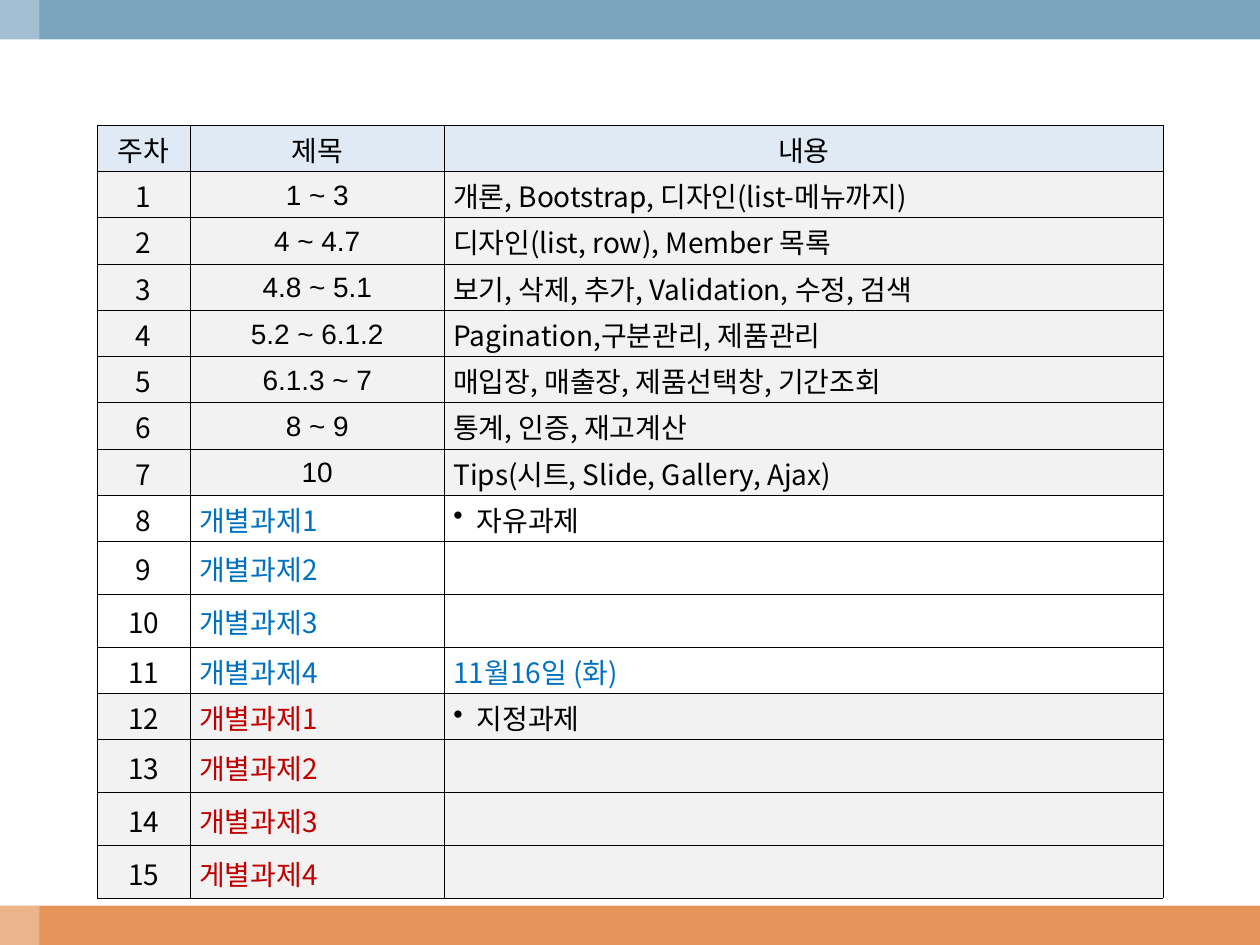
from dataclasses import dataclass

from lxml import etree
from pptx import Presentation
from pptx.dml.color import RGBColor
from pptx.enum import shapes, text
from pptx.oxml import ns
from pptx.util import Pt


@dataclass(frozen=True)
class Theme:
    top_bar: str = "7BA5BE"
    bottom_bar: str = "E49458"
    white: str = "FFFFFF"
    black: str = "000000"
    header: str = "DFEAF5"
    shade: str = "F2F2F2"
    blue: str = "0070C0"
    red: str = "C00000"
    font: str = "Noto Sans CJK KR"
    range_font: str = "Arial"
    size: float = 16
    line: float = 19.2
    border: float = 0.11


THEME = Theme()
CENTER, LEFT, JUSTIFY = text.PP_ALIGN.CENTER, text.PP_ALIGN.LEFT, text.PP_ALIGN.JUSTIFY

HEADINGS = ("주차", "제목", "내용")
LECTURES = [
    ("1 ~ 3", "개론, Bootstrap, 디자인(list-메뉴까지)"),
    ("4 ~ 4.7", "디자인(list, row), Member 목록"),
    ("4.8 ~ 5.1", "보기, 삭제, 추가, Validation, 수정, 검색"),
    ("5.2 ~ 6.1.2", "Pagination,구분관리, 제품관리"),
    ("6.1.3 ~ 7", "매입장, 매출장, 제품선택창, 기간조회"),
    ("8 ~ 9", "통계, 인증, 재고계산"),
    ("10", "Tips(시트, Slide, Gallery, Ajax)"),
]
FREE_PROJECTS = [
    ("개별과제1", "자유과제"),
    ("개별과제2", ""),
    ("개별과제3", ""),
    ("개별과제4", "11월16일 (화)"),
]
SET_PROJECTS = [
    ("개별과제1", "지정과제"),
    ("개별과제2", ""),
    ("개별과제3", ""),
    ("게별과제4", ""),
]


def add_element(parent, tag, **attributes):
    return etree.SubElement(parent, ns.qn(tag), attributes)


def add_bar(slide, left, top, width, height, color, opacity=100):
    shape = slide.shapes.add_shape(
        shapes.MSO_SHAPE.RECTANGLE, Pt(left), Pt(top), Pt(width), Pt(height))
    shape.shadow.inherit = False
    shape.fill.solid()
    shape.fill.fore_color.rgb = RGBColor.from_string(color)
    shape.line.fill.background()
    if opacity < 100:
        color_element = shape.fill._xPr.find(".//" + ns.qn("a:srgbClr"))
        add_element(color_element, "a:alpha", val=str(opacity * 1000))


def add_frame(slide, left, top, width, height, thickness=22.5):
    add_bar(slide, left, top + height - thickness, width, thickness, THEME.bottom_bar)
    add_bar(slide, left, top, width, thickness, THEME.top_bar)
    add_bar(slide, left, top, thickness, height, THEME.white, opacity=30)


def add_borders(cell):
    properties = cell._tc.get_or_add_tcPr()
    for index, side in enumerate(("a:lnL", "a:lnR", "a:lnT", "a:lnB")):
        line = add_element(properties, side, w=str(int(Pt(THEME.border))))
        fill = add_element(line, "a:solidFill")
        add_element(fill, "a:srgbClr", val=THEME.black)
        properties.insert(index, line)


def add_bullet(paragraph):
    properties = paragraph._p.get_or_add_pPr()
    indent = int(Pt(13.5))
    properties.set("marL", str(indent))
    properties.set("indent", str(-indent))
    bullet = add_element(properties, "a:buChar", char="•")
    properties.find(ns.qn("a:defRPr")).addprevious(bullet)


def fill_cell(cell, words, fill, align=LEFT, color=THEME.black, font=THEME.font, bullet=False):
    cell.fill.solid()
    cell.fill.fore_color.rgb = RGBColor.from_string(fill)
    add_borders(cell)
    cell.vertical_anchor = text.MSO_ANCHOR.MIDDLE
    cell.margin_left = cell.margin_right = Pt(5.2)
    is_range = font == THEME.range_font
    cell.margin_top, cell.margin_bottom = (Pt(3.6), Pt(3.6)) if is_range else (Pt(6.2), Pt(1))
    paragraph = cell.text_frame.paragraphs[0]
    if words:
        paragraph.text = words
    paragraph.alignment = align
    paragraph.line_spacing = Pt(THEME.line)
    paragraph.font.name = font
    paragraph.font.size = Pt(THEME.size)
    paragraph.font.color.rgb = RGBColor.from_string(color)
    add_element(paragraph.font._element, "a:ea", typeface=THEME.font)
    if bullet:
        add_bullet(paragraph)


def add_schedule(slide, left, top, widths, row_height, open_height):
    lessons = LECTURES + FREE_PROJECTS + SET_PROJECTS
    heights = [row_height] + [row_height if content else open_height for _, content in lessons]
    table = slide.shapes.add_table(
        len(heights), len(widths), Pt(left), Pt(top), Pt(sum(widths)), Pt(sum(heights))).table
    for column, width in zip(table.columns, widths):
        column.width = Pt(width)
    for row, height in zip(table.rows, heights):
        row.height = Pt(height)
    for column, heading in enumerate(HEADINGS):
        fill_cell(table.cell(0, column), heading, THEME.header, CENTER)

    first_free = len(LECTURES) + 1
    first_set = first_free + len(FREE_PROJECTS)
    for week, (title, content) in enumerate(lessons, start=1):
        is_free = first_free <= week < first_set
        fill = THEME.white if is_free else THEME.shade
        week_cell, title_cell, content_cell = (table.cell(week, column) for column in range(3))
        fill_cell(week_cell, str(week), fill, CENTER)
        if week < first_free:
            fill_cell(title_cell, title, fill, CENTER, font=THEME.range_font)
            fill_cell(content_cell, content, fill)
        else:
            accent = THEME.blue if is_free else THEME.red
            is_topic = week in (first_free, first_set)
            fill_cell(title_cell, title, fill, color=accent)
            fill_cell(content_cell, content, fill, JUSTIFY,
                      color=THEME.black if is_topic else accent, bullet=is_topic)


def main():
    presentation = Presentation()
    presentation.slide_width, presentation.slide_height = Pt(720), Pt(540)
    slide = presentation.slides.add_slide(presentation.slide_layouts[6])
    add_frame(slide, 0, 0, 720, 540)
    add_schedule(slide, 55.5, 71.5, (53.2, 145.2, 410.8), 26.4, 28.8)
    presentation.save("out.pptx")


if __name__ == "__main__":
    main()
